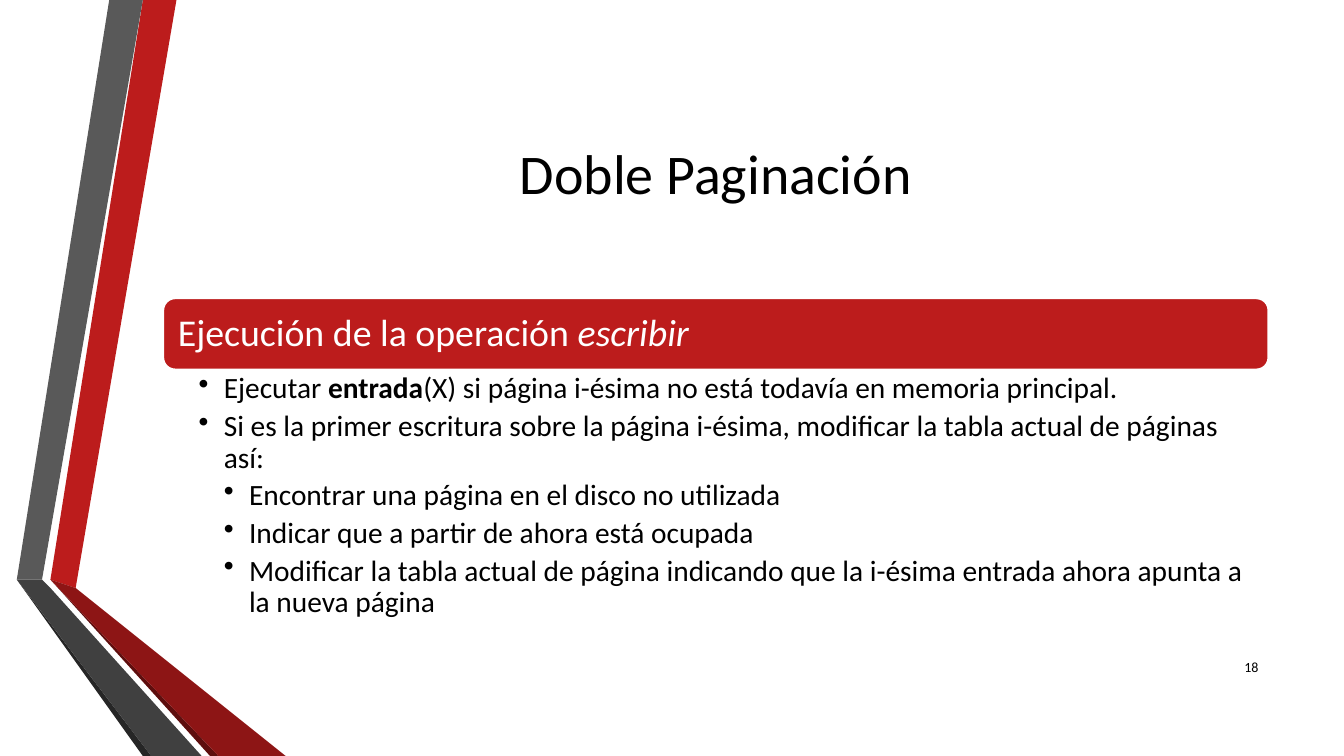
import dataclasses
import pptx
import pptx.util
import pptx.dml.color
import pptx.enum.shapes
import pptx.enum.text
import pptx.oxml.ns
import lxml.etree

ROWS = 90
CELL = pptx.util.Inches(7.5) / ROWS
ALIGN = pptx.enum.text.PP_ALIGN
ANCHOR = pptx.enum.text.MSO_ANCHOR


@dataclasses.dataclass(frozen=True)
class Theme:
    font: str = "Calibri"
    ink: str = "000000"
    paper: str = "FFFFFF"
    red: str = "BC1C1C"
    wine: str = "8D1515"
    dark: str = "5E0E0E"
    gray: str = "595959"
    slate: str = "404040"
    coal: str = "262626"
    title: float = 40
    head: float = 27
    body: float = 21
    note: float = 10


THEME = Theme()

# Bands from back to front, in cells from the top left of the ribbon.
BANDS = [
    (THEME.red, [(4.08, 69.36), (7.32, 69.96), (18.84, 0), (15.48, 0)]),
    (THEME.gray, [(14.76, 0), (11.4, 0), (0, 68.76), (3.36, 69.24)]),
    (THEME.coal, [(0, 68.76), (15.48, ROWS), (16.2, ROWS)]),
    (THEME.dark, [(4.08, 69.48), (23.04, ROWS), (23.76, ROWS)]),
    (THEME.wine, [(4.08, 69.36), (4.08, 69.48), (23.76, ROWS),
                  (32.04, ROWS), (7.32, 69.96)]),
    (THEME.slate, [(22.32, ROWS), (3.84, 69.96), (3.24, 69.36),
                   (3.36, 69.24), (0, 68.76), (16.2, ROWS)]),
]

# Each line is a level and its runs; a run is a text and its style.
HEAD = [(0, [("Ejecución de la operación ", ""), ("escribir", "i")])]
STEPS = [
    (1, [("Ejecutar ", ""), ("entrada", "b"),
         ("(X) si página i-ésima no está todavía en memoria principal.", "")]),
    (1, [("Si es la primer escritura sobre la página i-ésima, modificar "
          "la tabla actual de páginas así:", "")]),
    (2, [("Encontrar una página en el disco no utilizada", "")]),
    (2, [("Indicar que a partir de ahora está ocupada", "")]),
    (2, [("Modificar la tabla actual de página indicando que la i-ésima "
          "entrada ahora apunta a la nueva página", "")]),
]


def cells(count):
    return pptx.util.Emu(round(count * CELL))


def rgb(code):
    return pptx.dml.color.RGBColor.from_string(code)


def paint(shape, color):
    shape.shadow.inherit = False
    shape.fill.solid()
    shape.fill.fore_color.rgb = rgb(color)


def bullet(para, level):
    para.level = level
    props = para._p.get_or_add_pPr()
    props.set("marL", str(cells(3 * level)))
    props.set("indent", str(-cells(3)))
    mark = lxml.etree.SubElement(props, pptx.oxml.ns.qn("a:buChar"))
    mark.set("char", "•")


def write(shape, lines, size, color=THEME.ink, align=ALIGN.LEFT,
          anchor=ANCHOR.MIDDLE, inset=(1.2, 0.6, 1.2, 0.6), pitch=1.0, after=0):
    frame = shape.text_frame
    frame.word_wrap = True
    frame.vertical_anchor = anchor
    (frame.margin_left, frame.margin_top,
     frame.margin_right, frame.margin_bottom) = map(cells, inset)
    for row, (level, runs) in enumerate(lines):
        para = frame.add_paragraph() if row else frame.paragraphs[0]
        para.alignment = align
        para.line_spacing = pitch
        para.space_after = pptx.util.Pt(after)
        if level:
            bullet(para, level)
        for text, style in runs:
            run = para.add_run()
            run.text = text
            font = run.font
            font.name, font.size = THEME.font, pptx.util.Pt(size)
            font.bold, font.italic = "b" in style, "i" in style
            font.color.rgb = rgb(color)


def label(slide, box, lines, size, **form):
    shape = slide.shapes.add_textbox(*map(cells, box))
    write(shape, lines, size, **form)


def ribbon(slide, box):
    left, top = box
    for color, points in BANDS:
        spots = [(left + x, top + y) for x, y in points]
        path = slide.shapes.build_freeform(*spots[0], scale=CELL)
        path.add_line_segments(spots[1:], close=True)
        band = path.convert_to_shape()
        paint(band, color)
        band.line.fill.background()


def panel(slide, box):
    """Red heading bar with the bulleted steps below it."""
    left, top, width, height = box
    bar = 8.46
    head = slide.shapes.add_shape(
        pptx.enum.shapes.MSO_SHAPE.ROUNDED_RECTANGLE,
        *map(cells, (left, top, width, bar)))
    paint(head, THEME.red)
    head.line.color.rgb = rgb(THEME.paper)
    head.line.width = pptx.util.Pt(1.25)
    write(head, HEAD, THEME.head, color=THEME.paper, inset=(1.32,) * 4, pitch=0.9)
    label(slide, (left, top + bar, width, height - bar), STEPS, THEME.body,
          anchor=ANCHOR.TOP, inset=(4.2, 0.48, 2.52, 0.48), pitch=0.9, after=4.2)


def main():
    deck = pptx.Presentation()
    deck.slide_width = pptx.util.Inches(13.33)
    deck.slide_height = cells(ROWS)
    slide = deck.slides.add_slide(deck.slide_layouts[6])
    left, width = 19.44, 131.52
    ribbon(slide, (1.92, 0))
    label(slide, (left, 9, width, 23.04), [(0, [("Doble Paginación", "")])],
          THEME.title, align=ALIGN.CENTER)
    panel(slide, (left, 35.52, width, 40))
    label(slide, (left + width - 7.2, 77.04, 7.2, 4.8), [(0, [("18", "")])],
          THEME.note, align=ALIGN.RIGHT)
    deck.save("out.pptx")


if __name__ == "__main__":
    main()
